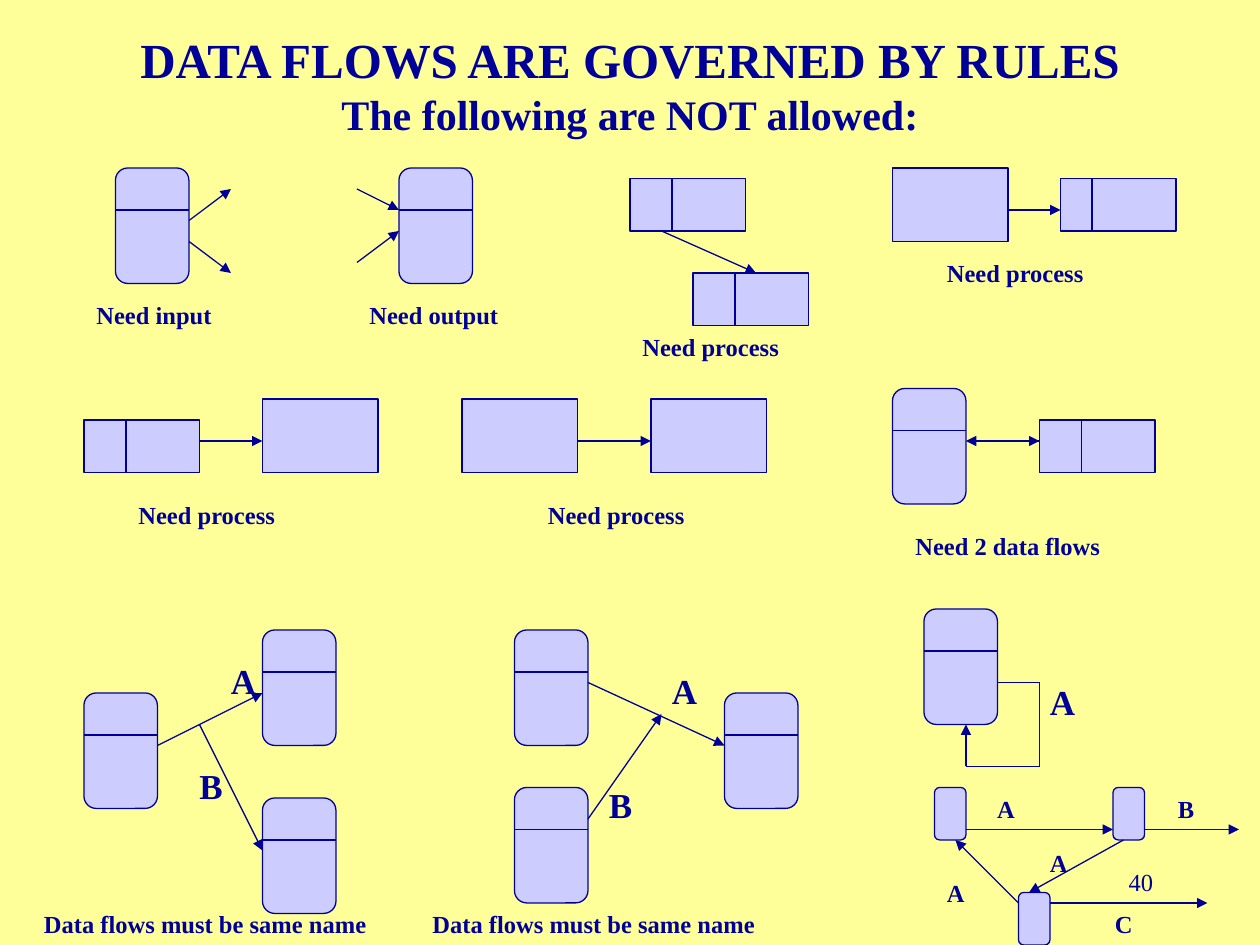
from dataclasses import dataclass

from lxml import etree
from pptx import Presentation
from pptx import util as u
from pptx.dml.color import RGBColor
from pptx.enum import shapes, text
from pptx.oxml.ns import qn


@dataclass(frozen=True)
class Theme:
    """Colours, type and line sizes, and the grid cell of the slide."""
    paper: RGBColor = RGBColor.from_string("FFFF99")
    ink: RGBColor = RGBColor.from_string("000099")
    fill: RGBColor = RGBColor.from_string("CCCCFF")
    font: str = "Times New Roman"
    heading: int = 28
    subheading: int = 24
    letter: int = 20
    caption: int = 14
    line: float = 0.75
    cell: int = u.Inches(1) // 12


THEME = Theme()
COLUMNS, ROWS = 120, 90
SYMBOLS = {
    "process": (7, 11),
    "entity": (11, 7),
    "store": (11, 5),
    "step": (3, 5),
}
PROCESS_HEADER, STORE_MARGIN = 4, 4


def cells(*values):
    """Convert grid cells to slide lengths."""
    return [u.Emu(round(value * THEME.cell)) for value in values]


def add_text(slide, box, content, sizes=(THEME.caption,), bold=True,
             align=text.PP_ALIGN.LEFT, anchor=text.MSO_ANCHOR.TOP):
    """Add a text box whose lines take their sizes in turn."""
    frame = slide.shapes.add_textbox(*cells(*box)).text_frame
    frame.word_wrap = True
    frame.vertical_anchor = anchor
    paragraph = frame.paragraphs[0]
    paragraph.alignment = align
    for index, (line, size) in enumerate(zip(content.split("\n"), sizes)):
        if index:
            paragraph.add_line_break()
        run = paragraph.add_run()
        run.text = line
        run.font.name, run.font.size = THEME.font, u.Pt(size)
        run.font.bold, run.font.color.rgb = bold, THEME.ink


def add_line(slide, start, end, arrow=False):
    """Draw a straight line, with an arrowhead at its end if asked."""
    connector = slide.shapes.add_connector(
        shapes.MSO_CONNECTOR.STRAIGHT, *cells(*start, *end))
    connector.line.color.rgb = THEME.ink
    connector.line.width = u.Pt(THEME.line)
    if arrow:
        etree.SubElement(connector.line._get_or_add_ln(), qn("a:tailEnd"), type="triangle")
    etree.SubElement(connector._element.spPr, qn("a:effectLst"))


def add_symbol(slide, kind, left, top, margin=STORE_MARGIN):
    """Draw a process, step, entity or store with its dividing line."""
    width, height = SYMBOLS[kind]
    rounded = kind in ("process", "step")
    preset = shapes.MSO_SHAPE.ROUNDED_RECTANGLE if rounded else shapes.MSO_SHAPE.RECTANGLE
    shape = slide.shapes.add_shape(preset, *cells(left, top, width, height))
    shape.shadow.inherit = False
    shape.fill.solid()
    shape.fill.fore_color.rgb = THEME.fill
    shape.line.color.rgb = THEME.ink
    shape.line.width = u.Pt(THEME.line)
    if kind == "process":
        row = top + PROCESS_HEADER
        add_line(slide, (left, row), (left + width, row))
    elif kind == "store":
        column = left + margin
        add_line(slide, (column, top), (column, top + height))


def add_title(slide, box):
    """Write the heading and the line below it."""
    add_text(slide, box, "DATA FLOWS ARE GOVERNED BY RULES\nThe following are NOT allowed:",
             sizes=(THEME.heading, THEME.subheading),
             align=text.PP_ALIGN.CENTER, anchor=text.MSO_ANCHOR.MIDDLE)


def add_example(slide, box, symbols, flows, labels=(), caption=None,
                letter_size=THEME.letter):
    """Draw one forbidden flow; flows are chains of points, ending in an arrow."""
    left, top, width, height = box
    for kind, column, row, *margin in symbols:
        add_symbol(slide, kind, left + column, top + row, *margin)
    for flow in flows:
        points = [(left + column, top + row) for column, row in flow]
        for start, end in zip(points, points[1:]):
            add_line(slide, start, end, arrow=end is points[-1])
    for letter, column, row in labels:
        add_text(slide, (left + column, top + row, 5, 5), letter, sizes=(letter_size,))
    if caption:
        words, column = caption
        add_text(slide, (left + column, top + height, width, 4), words)


def add_page_number(slide, box):
    """Write the page number at the right of its box."""
    add_text(slide, box, "40", bold=False, align=text.PP_ALIGN.RIGHT)


def add_single_flows(slide, box):
    """Place the upper two rows of examples."""
    left, top, _, _ = box
    examples = [
        ((11, 16, 14, 12), [("process", 0, 0)],
         [[(7, 5), (11, 2)], [(7, 7), (11, 10)]], ("Need input", -3)),
        ((34, 16, 17, 12), [("process", 4, 0)],
         [[(0, 2), (4, 4)], [(0, 9), (4, 6)]], ("Need output", 0)),
        ((60, 17, 17, 14), [("store", 0, 0), ("store", 6, 9)],
         [[(3, 5), (12, 9)]], ("Need process", 0)),
        ((85, 16, 27, 8), [("entity", 0, 0), ("store", 16, 1, 3)],
         [[(11, 4), (16, 4)]], ("Need process", 4)),
        ((8, 38, 28, 9), [("store", 0, 2), ("entity", 17, 0)],
         [[(11, 4), (17, 4)]], ("Need process", 4)),
        ((44, 38, 29, 9), [("entity", 0, 0), ("entity", 18, 0)],
         [[(11, 4), (18, 4)]], ("Need process", 7)),
        ((85, 37, 25, 13), [("process", 0, 0), ("store", 14, 3)],
         [[(14, 5), (7, 5)], [(10, 5), (14, 5)]], ("Need 2 data flows", 1)),
    ]
    for (column, row, *size), symbols, flows, caption in examples:
        add_example(slide, (left + column, top + row, *size), symbols, flows, caption=caption)


def add_named_flows(slide, box):
    """Place the lower row of examples, whose flows carry letters."""
    left, top, _, _ = box
    same_name = "Data flows must be same name"
    add_example(slide, (left + 8, top, 38, 26),
                [("process", 0, 6), ("process", 17, 16), ("process", 17, 0)],
                [[(7, 11), (17, 6)], [(11, 9), (17, 21)]],
                [("A", 12.8, 2.2), ("B", 9.8, 12.2)], (same_name, -5))
    add_example(slide, (left + 49, top, 38, 26),
                [("process", 20, 6), ("process", 0, 15), ("process", 0, 0)],
                [[(7, 5), (20, 11)], [(7, 18), (14, 8)]],
                [("A", 13.8, 3.2), ("B", 7.8, 14)], (same_name, -9))
    add_example(slide, (left + 88, top - 2, 16, 15), [("process", 0, 0)],
                [[(7, 7), (11, 7), (11, 15), (4, 15), (4, 11)]], [("A", 10.8, 6.2)])
    add_example(slide, (left + 89, top + 15, 29, 15),
                [("step", 0, 0), ("step", 8, 10), ("step", 17, 0)],
                [[(3, 4), (17, 4)], [(8, 11), (2, 5)], [(18, 5), (9, 10)],
                 [(11, 11), (26, 11)], [(20, 4), (29, 4)]],
                [("A", 4.8, 0), ("A", 9.8, 5.2), ("A", 0, 8), ("C", 16, 11), ("B", 22, 0)],
                letter_size=THEME.caption)


def main():
    """Build and save the slide."""
    presentation = Presentation()
    presentation.slide_width, presentation.slide_height = cells(COLUMNS, ROWS)
    slide = presentation.slides.add_slide(presentation.slide_layouts[6])
    slide.background.fill.solid()
    slide.background.fill.fore_color.rgb = THEME.paper
    add_title(slide, (9, 2, 102, 12))
    add_single_flows(slide, (0, 0, COLUMNS, 54))
    add_named_flows(slide, (0, 60, COLUMNS, 30))
    add_page_number(slide, (86, 82, 25, 6))
    presentation.save("out.pptx")


if __name__ == "__main__":
    main()
